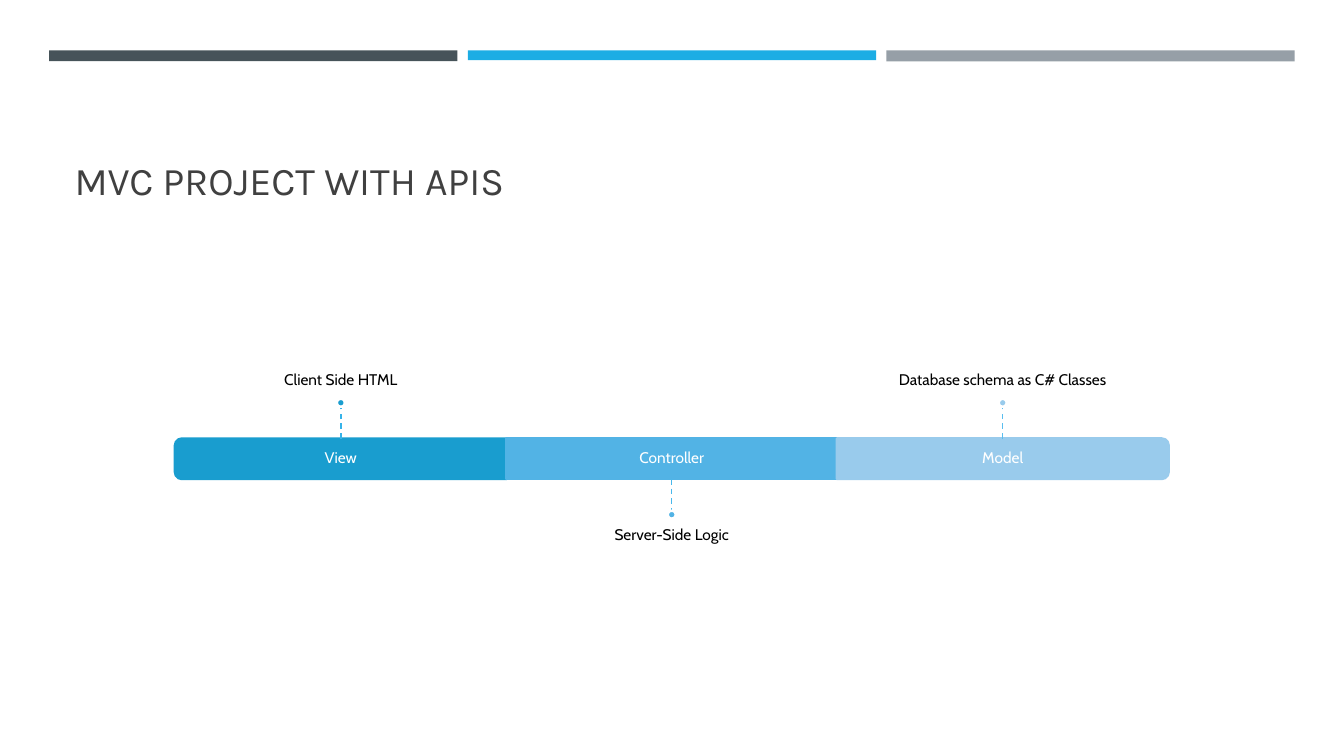
from lxml import etree
from pptx import Presentation
from pptx.dml.color import RGBColor
from pptx.enum import dml, shapes, text
from pptx.oxml import ns
from pptx.util import Cm, Pt

COLORS = {
    "slate": "465359", "blue": "1CADE4", "gray": "969FA7",
    "title": "404040", "black": "000000", "white": "FFFFFF",
    "view": "199DCF", "controller": "52B3E5", "model": "99CBEC",
    "view line": "36B3E9", "controller line": "48B8EC", "model line": "5ABEEF",
}

prs = Presentation()
prs.slide_width, prs.slide_height = Cm(33.87), Cm(19.05)
s = prs.slides.add_slide(prs.slide_layouts[6])


def add_shape(kind, x, y, w, h, fill, line=None):
    sp = s.shapes.add_shape(kind, Cm(x), Cm(y), Cm(w), Cm(h))
    sp.shadow.inherit = False
    sp.fill.solid()
    sp.fill.fore_color.rgb = RGBColor.from_string(COLORS[fill])
    if line:
        sp.line.color.rgb = RGBColor.from_string(COLORS[line])
        sp.line.width = Pt(1.75)
    else:
        sp.line.fill.background()
    return sp


def add_text(words, x, y, w, h, color, anchor, size=11, font="Cabin", centered=True):
    tf = s.shapes.add_textbox(Cm(x), Cm(y), Cm(w), Cm(h)).text_frame
    tf.word_wrap = True
    tf.vertical_anchor = anchor
    tf.text = words
    p = tf.paragraphs[0]
    if centered:
        p.alignment = text.PP_ALIGN.CENTER
        p.line_spacing = 0.9
    r = p.runs[0]
    r.font.size, r.font.name = Pt(size), font
    r.font.color.rgb = RGBColor.from_string(COLORS[color])
    return tf


# Header bars
for i, (color, height) in enumerate([("slate", 0.27), ("blue", 0.25), ("gray", 0.28)]):
    add_shape(shapes.MSO_SHAPE.RECTANGLE, 1.24 + 10.55 * i, 1.27, 10.29, height, color)

# Title
add_text("MVC PROJECT WITH APIS", 1.63, 1.96, 30.63, 3.3, "title",
         text.MSO_ANCHOR.BOTTOM, size=28, font="Karla", centered=False)

# Three layers: name, caption, caption above the bar, shape, rotation
BAR_TOP, BAR_W, BAR_H = 11.05, 8.36, 1.02
STEM, DOT, CAPTION_W, CAPTION_H = 0.8, 0.2, 13.92, 3.53
layers = [
    ("View", "Client Side HTML", True, shapes.MSO_SHAPE.ROUND_2_SAME_RECTANGLE, 270),
    ("Controller", "Server-Side Logic", False, shapes.MSO_SHAPE.RECTANGLE, 0),
    ("Model", "Database schema as C# Classes", True,
     shapes.MSO_SHAPE.ROUND_2_SAME_RECTANGLE, 90),
]
for i, (name, caption, above, kind, rotation) in enumerate(layers):
    color = name.lower()
    center = 8.59 + 8.34 * i
    left = center - BAR_W / 2

    # Bar segment; the rounded ends are upright shapes turned on their side
    w, h = (BAR_H, BAR_W) if rotation else (BAR_W, BAR_H)
    sp = add_shape(kind, center - w / 2, BAR_TOP + (BAR_H - h) / 2, w, h, color, color)
    sp.rotation = rotation
    add_text(name, left, BAR_TOP, BAR_W, BAR_H, "white", text.MSO_ANCHOR.MIDDLE)

    # Caption
    caption_y = 6.5 if above else 13.06
    anchor = text.MSO_ANCHOR.BOTTOM if above else text.MSO_ANCHOR.TOP
    tf = add_text(caption, center - CAPTION_W / 2, caption_y, CAPTION_W, CAPTION_H,
                  "black", anchor)
    tf.margin_left = tf.margin_right = 0
    tf.margin_top, tf.margin_bottom = (0, Cm(0.23)) if above else (Cm(0.23), 0)

    # Dashed stem and dot
    start = BAR_TOP if above else BAR_TOP + BAR_H
    end = start - STEM if above else start + STEM
    stem = s.shapes.add_connector(shapes.MSO_CONNECTOR.STRAIGHT,
                                  Cm(center), Cm(start), Cm(center), Cm(end))
    stem.line.color.rgb = RGBColor.from_string(COLORS[color + " line"])
    stem.line.width = Pt(1)
    stem.line.dash_style = dml.MSO_LINE.DASH
    etree.SubElement(stem._element.spPr, ns.qn("a:effectLst"))
    add_shape(shapes.MSO_SHAPE.OVAL, center - DOT / 2, end - DOT if above else end,
              DOT, DOT, color, "white")

prs.save("out.pptx")
